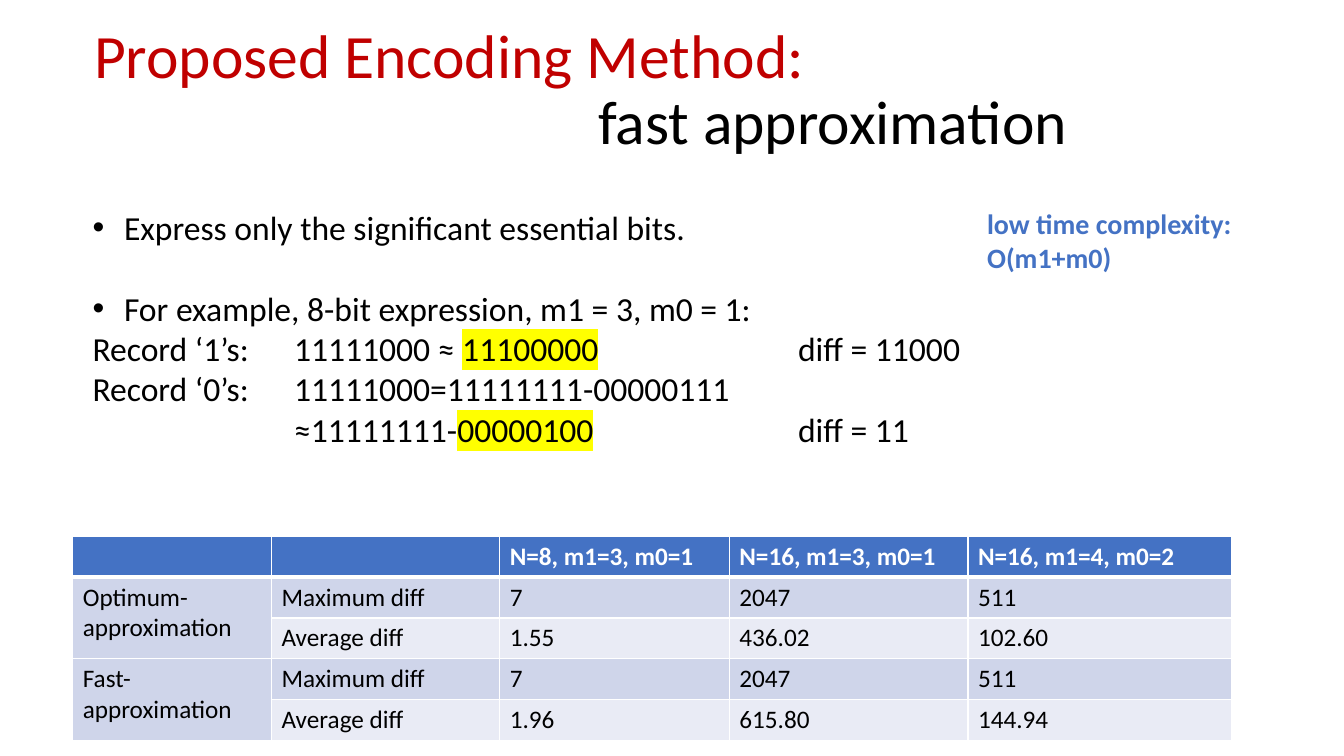
from lxml import etree
from pptx import Presentation
from pptx.dml.color import RGBColor
from pptx.enum import text
from pptx.oxml import ns
from pptx.util import Pt

FONT = "Calibri"
RED = RGBColor(0xC0, 0x00, 0x00)
BLUE = RGBColor(0x44, 0x72, 0xC4)
BLACK = RGBColor(0x00, 0x00, 0x00)
WHITE = RGBColor(0xFF, 0xFF, 0xFF)
YELLOW = RGBColor(0xFF, 0xFF, 0x00)
BAND_DARK = RGBColor(0xCF, 0xD5, 0xEA)
BAND_LIGHT = RGBColor(0xE9, 0xEB, 0xF5)

BULLET_INDENT = 22.5
COLUMN_WIDTHS = [142, 163, 164, 170.5, 188.5]
ROW_HEIGHT = 29.2
RESULTS = [
    ["", "", "N=8, m1=3, m0=1", "N=16, m1=3, m0=1", "N=16, m1=4, m0=2"],
    ["Optimum-approximation", "Maximum diff", "7", "2047", "511"],
    ["", "Average diff", "1.55", "436.02", "102.60"],
    ["Fast-approximation", "Maximum diff", "7", "2047", "511"],
    ["", "Average diff", "1.96", "615.80", "144.94"],
]


def add_xml(parent, tag, **attributes):
    return etree.SubElement(parent, ns.qn(tag), attributes)


def write(para, content, size=24, color=BLACK, bold=False, highlight=None):
    span = para.add_run()
    span.text = content
    span.font.size = Pt(size)
    span.font.bold = bold
    span.font.color.rgb = color
    span.font.name = FONT
    if highlight is not None:
        mark = etree.Element(ns.qn("a:highlight"))
        add_xml(mark, "a:srgbClr", val=str(highlight))
        span.font.fill  # the highlight belongs right after the text fill
        span._r.rPr.find(ns.qn("a:solidFill")).addnext(mark)


def set_tabs(para, *stops):
    tabs = add_xml(para._p.get_or_add_pPr(), "a:tabLst")
    for stop in stops:
        add_xml(tabs, "a:tab", pos=str(Pt(stop)), algn="l")


def set_bullet(para):
    properties = para._p.get_or_add_pPr()
    properties.set("marL", str(Pt(BULLET_INDENT)))
    properties.set("indent", str(-Pt(BULLET_INDENT)))
    add_xml(properties, "a:buFont", typeface="Arial")
    add_xml(properties, "a:buChar", char="•")


def add_text_box(page, left, top, width, height):
    box = page.shapes.add_textbox(Pt(left), Pt(top), Pt(width), Pt(height))
    box.text_frame.word_wrap = True
    return box.text_frame


def set_borders(cell, top, bottom):
    """Draw white cell edges; top and bottom are widths in points."""
    properties = cell._tc.get_or_add_tcPr()
    edges = {"a:lnL": 1, "a:lnR": 1, "a:lnT": top, "a:lnB": bottom}
    for tag, width in edges.items():
        line = add_xml(properties, tag, w=str(Pt(width)))
        fill = add_xml(line, "a:solidFill")
        add_xml(fill, "a:srgbClr", val=str(WHITE))


def add_title(page):
    title = page.shapes.title
    title.left, title.top, title.width, title.height = Pt(60), Pt(13), Pt(875), Pt(104.5)
    frame = title.text_frame
    frame.auto_size = text.MSO_AUTO_SIZE.NONE
    frame.vertical_anchor = text.MSO_ANCHOR.MIDDLE
    para = frame.paragraphs[0]
    para.alignment = text.PP_ALIGN.LEFT
    para.line_spacing = 0.9
    set_tabs(para, 360)
    write(para, "Proposed Encoding Method: ", size=44, color=RED)
    para.add_line_break()
    write(para, "\tfast approximation", size=44)


def add_example(page):
    frame = add_text_box(page, 59, 144, 638, 204)
    bullet = frame.paragraphs[0]
    set_bullet(bullet)
    write(bullet, "Express only the significant essential bits.")

    bullet = frame.add_paragraph()
    bullet.space_before = Pt(29)
    set_bullet(bullet)
    write(bullet, "For example, 8-bit expression, m1 = 3, m0 = 1:")

    for start, marked, end in [
        ("Record ‘1’s:\t11111000 ≈ ", "11100000", "\tdiff = 11000"),
        ("Record ‘0’s: \t11111000=11111111-00000111", "", ""),
        ("\t≈11111111-", "00000100", "\tdiff = 11"),
    ]:
        para = frame.add_paragraph()
        set_tabs(para, 144, 504)
        write(para, start)
        if marked:
            write(para, marked, highlight=YELLOW)
            write(para, end)


def add_results(page):
    table = page.shapes.add_table(
        len(RESULTS), len(COLUMN_WIDTHS), Pt(52), Pt(383),
        Pt(sum(COLUMN_WIDTHS)), Pt(ROW_HEIGHT * len(RESULTS))).table
    for column, width in zip(table.columns, COLUMN_WIDTHS):
        column.width = Pt(width)
    for r, values in enumerate(RESULTS):
        table.rows[r].height = Pt(ROW_HEIGHT)
        header = r == 0
        for c, value in enumerate(values):
            cell = table.cell(r, c)
            set_borders(cell, top=3 if r == 1 else 1, bottom=3 if header else 1)
            cell.fill.solid()
            band = BAND_DARK if r % 2 or c == 0 else BAND_LIGHT
            cell.fill.fore_color.rgb = BLUE if header else band
            if value:
                write(cell.text_frame.paragraphs[0], value, size=18,
                      color=WHITE if header else BLACK, bold=header)
    for r in (1, 3):
        table.cell(r, 0).merge(table.cell(r + 1, 0))


def main():
    deck = Presentation()
    deck.slide_width, deck.slide_height = Pt(960), Pt(540)
    page = deck.slides.add_slide(deck.slide_layouts[5])
    add_title(page)
    add_results(page)
    add_example(page)
    note = add_text_box(page, 698, 144, 225, 55.5)
    write(note.paragraphs[0], "low time complexity: O(m1+m0)", size=20, color=BLUE, bold=True)
    deck.save("out.pptx")


if __name__ == "__main__":
    main()
